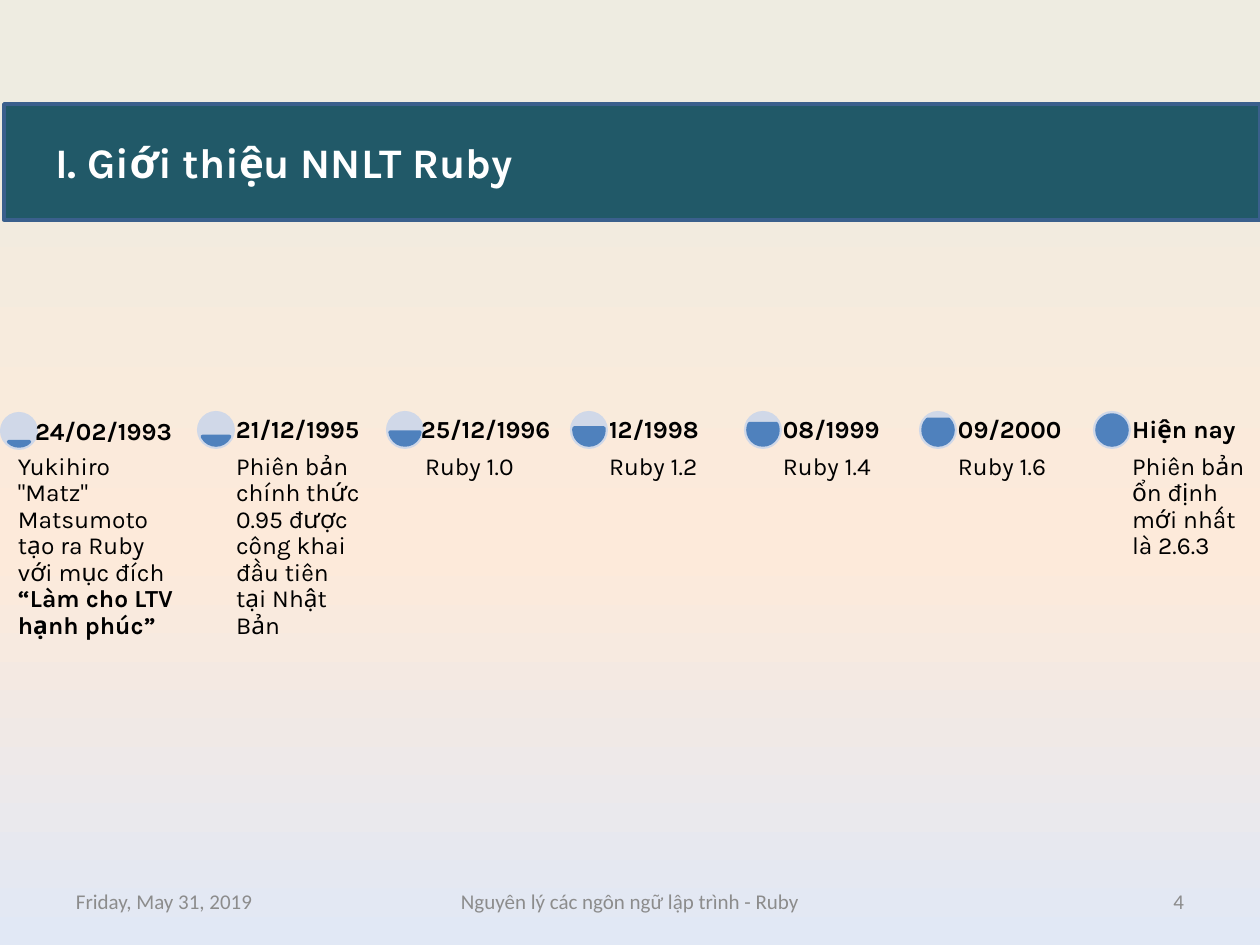
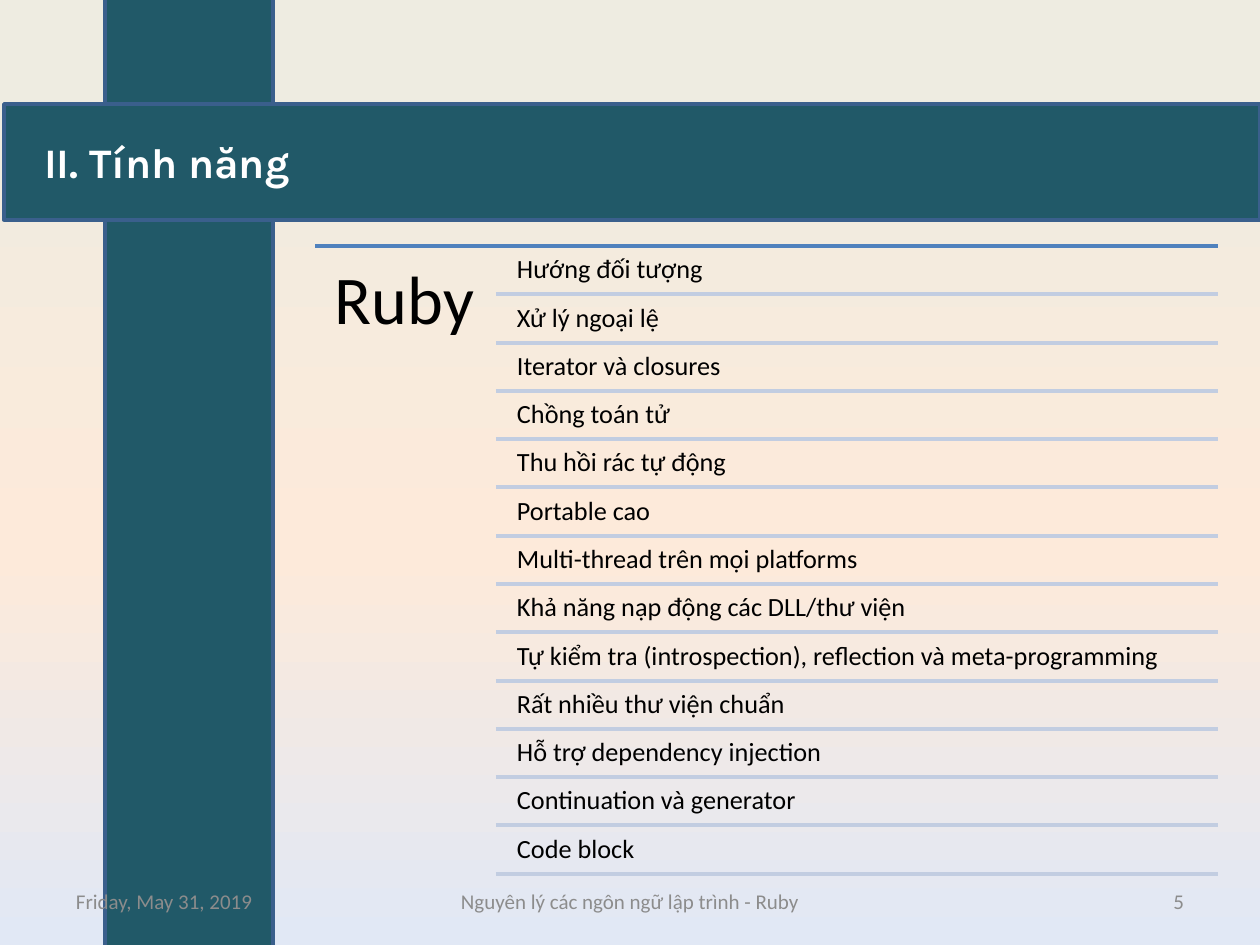
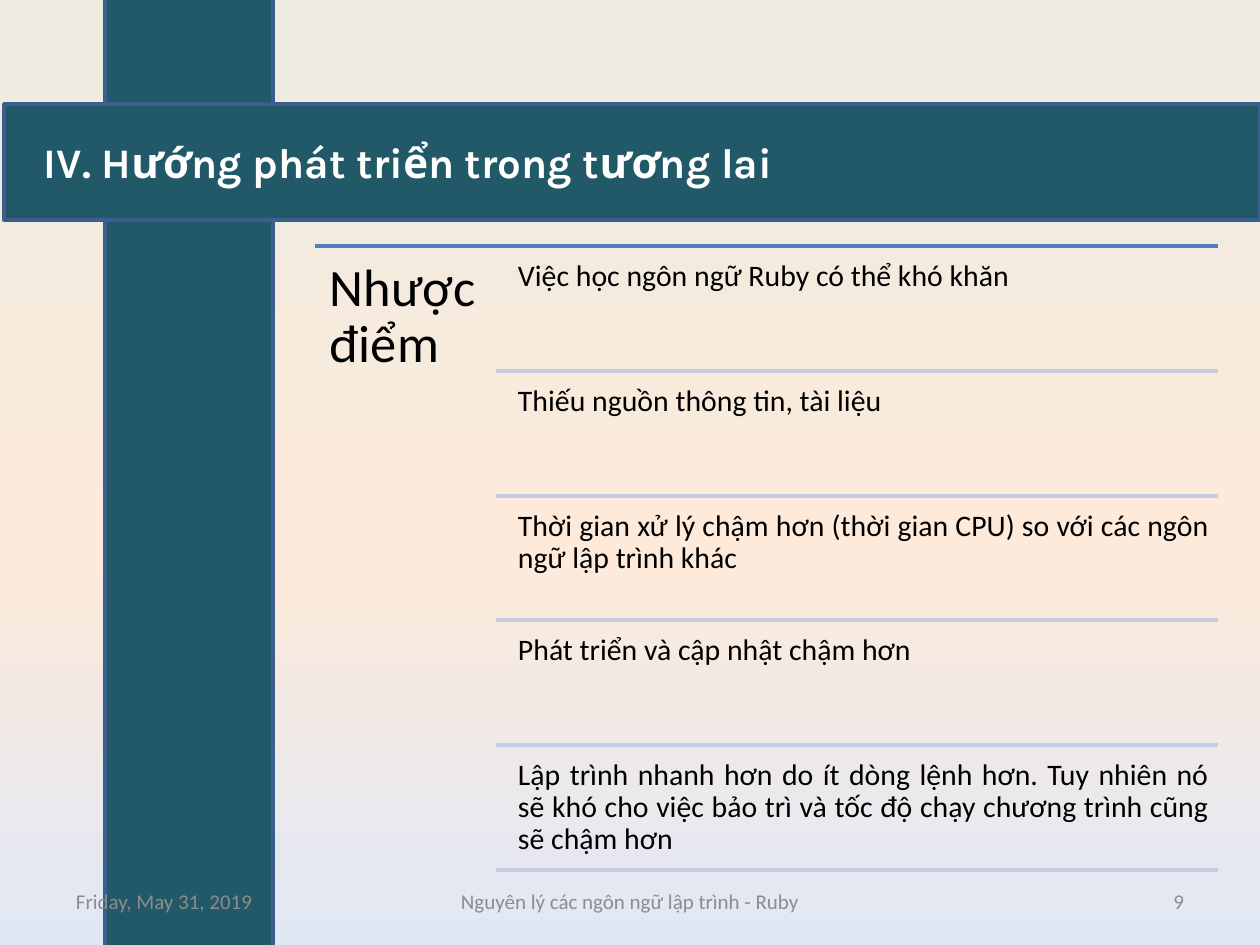
from dataclasses import dataclass
from math import acos, degrees
from lxml.etree import SubElement
from pptx import Presentation
from pptx.dml.color import RGBColor
from pptx.enum.shapes import MSO_CONNECTOR, MSO_SHAPE
from pptx.enum.text import MSO_ANCHOR, MSO_AUTO_SIZE, PP_ALIGN
from pptx.oxml.ns import qn
from pptx.util import Emu, Pt


@dataclass(frozen=True)
class Theme:
    teal: str = "215968"
    edge: str = "3A5F8C"
    blue: str = "4F81BD"
    disc: str = "D0D8E8"
    rule: str = "C2CDE1"
    grey: str = "8C8C8C"
    black: str = "000000"
    white: str = "FFFFFF"
    body: str = "Calibri"
    head: str = "Karla"
    title: int = 24
    foot: int = 12
    event: int = 14
    line: int = 2
    stops: tuple = ((7, "EEECE1"), (58, "FDEADA"), (100, "E1E8F5"))


@dataclass
class Event:
    x: int
    date: str
    note: str
    bold: str = ""
    drop: int = 0
    date_dx: int = 34
    date_w: int = 134
    note_dx: int = 34
    note_w: int = 134


THEME = Theme()
SCALE = 914400 / 126
WIDE, HIGH = 1260, 945


def px(num):
    return Emu(round(round(num) * SCALE))


def apply(obj, vals):
    for key, val in vals.items():
        setattr(obj, key, val)


def ink(name):
    return RGBColor.from_string(name)


def write(slide, box, runs, size, font, color, pad=(13, 6), bold=False,
          frame=None, para=None):
    shape = slide.shapes.add_textbox(*map(px, box))
    text = shape.text_frame
    apply(text, {
        "word_wrap": True, "auto_size": MSO_AUTO_SIZE.NONE,
        "margin_left": px(pad[0]), "margin_right": px(pad[0]),
        "margin_top": px(pad[1]), "margin_bottom": px(pad[1]),
        **(frame or {}),
    })
    line = text.paragraphs[0]
    apply(line, para or {})
    for words, heavy in runs:
        run = line.add_run()
        run.text = words
        apply(run.font, {"size": Pt(size), "name": font, "bold": bold or heavy})
        run.font.color.rgb = ink(color)


def draw(slide, kind, box, fill, edge=None):
    shape = slide.shapes.add_shape(kind, *map(px, box))
    shape.shadow.inherit = False
    shape.fill.solid()
    shape.fill.fore_color.rgb = ink(fill)
    if edge:
        shape.line.color.rgb = ink(edge)
        shape.line.width = Pt(THEME.line)
    else:
        shape.line.fill.background()
    return shape


def rule(slide, left, right, top, color):
    line = slide.shapes.add_connector(
        MSO_CONNECTOR.STRAIGHT, px(left), px(top), px(right), px(top))
    line.line.color.rgb = ink(color)
    line.line.width = Pt(THEME.line)
    SubElement(line.element.spPr, qn("a:effectLst"))


def paint(master):
    fill = master.background.fill
    fill.gradient()
    fill.gradient_angle = 270
    stops = master.element.xpath("./p:cSld/p:bg//a:gsLst")[0]
    for stop in list(stops):
        stops.remove(stop)
    for part, color in THEME.stops:
        stop = SubElement(stops, qn("a:gs"), pos=str(part * 1000))
        SubElement(stop, qn("a:srgbClr"), val=color)


def band(slide, box, title, inset, width):
    left, top, _, _ = box
    draw(slide, MSO_SHAPE.RECTANGLE, box, THEME.teal, THEME.edge)
    write(slide, (left + inset, top + 27, width, 63), [(title, False)],
          THEME.title, THEME.head, THEME.white, bold=True,
          frame={"auto_size": MSO_AUTO_SIZE.SHAPE_TO_FIT_TEXT})


def footer(slide, box, page):
    left, top, width, high = box
    side, mid = 294, 400
    parts = (
        (left, side, "Friday, May 31, 2019", PP_ALIGN.LEFT),
        (left + (width - mid) / 2, mid,
         "Nguyên lý các ngôn ngữ lập trình - Ruby", PP_ALIGN.CENTER),
        (left + width - side, side, str(page), PP_ALIGN.RIGHT),
    )
    for x, span, words, align in parts:
        write(slide, (x, top, span, high), [(words, False)],
              THEME.foot, THEME.body, THEME.grey,
              frame={"vertical_anchor": MSO_ANCHOR.MIDDLE},
              para={"alignment": align})


def start(deck, title, page, inset, width, pillar=True):
    slide = deck.slides.add_slide(deck.slide_layouts[6])
    if pillar:
        draw(slide, MSO_SHAPE.RECTANGLE, (105, -5, 168, 960),
             THEME.teal, THEME.edge)
    band(slide, (4, 104, 1256, 116), title, inset, width)
    footer(slide, (63, 876, 1134, 50), page)
    return slide


def marker(slide, box, part):
    left, top, side, _ = box
    draw(slide, MSO_SHAPE.OVAL, box, THEME.disc)
    inner = (left + 4, top + 4, side - 8, side - 8)
    chord = draw(slide, MSO_SHAPE.CHORD, inner, THEME.blue, THEME.blue)
    half = degrees(acos(1 - 2 * part))
    for spot, angle in enumerate((90 - half, 90 + half)):
        chord.adjustments[spot] = angle % 360 * 0.6


def timeline(slide, box, events):
    left, top, _, high = box
    style = (THEME.event, THEME.head, THEME.black)
    for step, item in enumerate(events, 1):
        x = left + item.x
        marker(slide, (x, top + 1 + item.drop, 38, 38), step / len(events))
        write(slide, (x + item.note_dx, top + 39, item.note_w, high - 39),
              [(item.note, False), (item.bold, True)][:2 if item.bold else 1],
              *style, pad=(5, 5), para={"line_spacing": 0.9})
        write(slide, (x + item.date_dx, top, item.date_w, 39 + 2 * item.drop),
              [(item.date, True)], *style, pad=(5, 5),
              frame={"vertical_anchor": MSO_ANCHOR.BOTTOM},
              para={"line_spacing": 0.9})


def outline(slide, box, head, big, big_pad, rows, size, pad, full=()):
    left, top, width, high = box
    side = width * 0.2
    row = high / (len(rows) * 1.05 + 0.05)
    gap = row * 0.05
    inset = side + width * 0.015
    rule(slide, left, left + width, top, THEME.blue)
    write(slide, (left, top, side, high), [(head, False)],
          big, THEME.body, THEME.black, pad=(big_pad, big_pad),
          para={"line_spacing": 0.9})
    for step, words in enumerate(rows):
        y = top + gap + step * (row + gap)
        align = PP_ALIGN.JUSTIFY if step in full else PP_ALIGN.LEFT
        write(slide, (left + inset, y, width - inset, row), [(words, False)],
              size, THEME.body, THEME.black, pad=(pad, pad),
              para={"line_spacing": 0.9, "alignment": align})
        rule(slide, left + side, left + width, y + row, THEME.rule)


EVENTS = (
    Event(0, "24/02/1993", "Yukihiro \"Matz\" Matsumoto tạo ra Ruby với mục đích ",
          "“Làm cho LTV hạnh phúc”", drop=1,
          date_dx=30, date_w=171, note_dx=13, note_w=175),
    Event(197, "21/12/1995",
          "Phiên bản chính thức 0.95 được công khai đầu tiên tại Nhật Bản",
          date_w=164),
    Event(386, "25/12/1996", "Ruby 1.0", date_dx=30, date_w=151),
    Event(570, "12/1998", "Ruby 1.2"),
    Event(744, "08/1999", "Ruby 1.4"),
    Event(919, "09/2000", "Ruby 1.6"),
    Event(1093, "Hiện nay", "Phiên bản ổn định mới nhất là 2.6.3"),
)

TRAITS = (
    "Hướng đối tượng",
    "Xử lý ngoại lệ",
    "Iterator và closures",
    "Chồng toán tử",
    "Thu hồi rác tự động",
    "Portable cao",
    "Multi-thread trên mọi platforms",
    "Khả năng nạp động các DLL/thư viện",
    "Tự kiểm tra (introspection), reflection và meta-programming",
    "Rất nhiều thư viện chuẩn",
    "Hỗ trợ dependency injection",
    "Continuation và generator",
    "Code block",
)

FLAWS = (
    "Việc học ngôn ngữ Ruby có thể khó khăn",
    "Thiếu nguồn thông tin, tài liệu",
    "Thời gian xử lý chậm hơn (thời gian CPU) so với các ngôn ngữ lập trình khác",
    "Phát triển và cập nhật chậm hơn",
    "Lập trình nhanh hơn do ít dòng lệnh hơn. Tuy nhiên nó sẽ khó cho việc "
    "bảo trì và tốc độ chạy chương trình cũng sẽ chậm hơn",
)

LIST = (315, 246, 903, 630)

deck = Presentation()
apply(deck, {"slide_width": px(WIDE), "slide_height": px(HIGH)})
paint(deck.slide_master)

slide = start(deck, "I. Giới thiệu NNLT Ruby", 4, 38, 536, pillar=False)
timeline(slide, (0, 410, WIDE, 196), EVENTS)

slide = start(deck, "II. Tính năng", 5, 27, 536)
outline(slide, LIST, "Ruby", 39, 20, TRAITS, 15, 8)

slide = start(deck, "IV. Hướng phát triển trong tương lai", 9, 27, 872)
outline(slide, LIST, "Nhược điểm", 30, 15, FLAWS, 17, 9, full=(2, 4))

deck.save("out.pptx")
